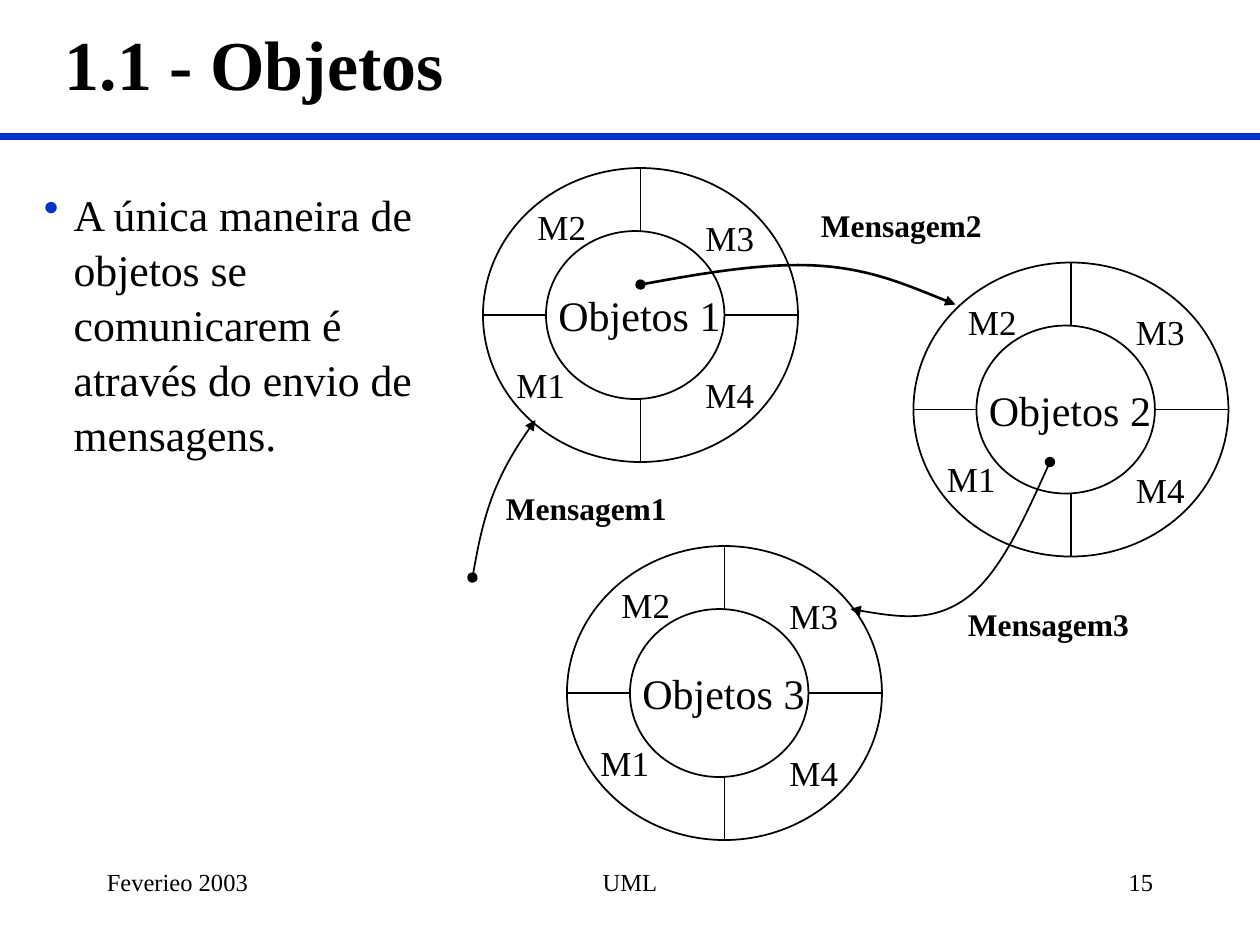
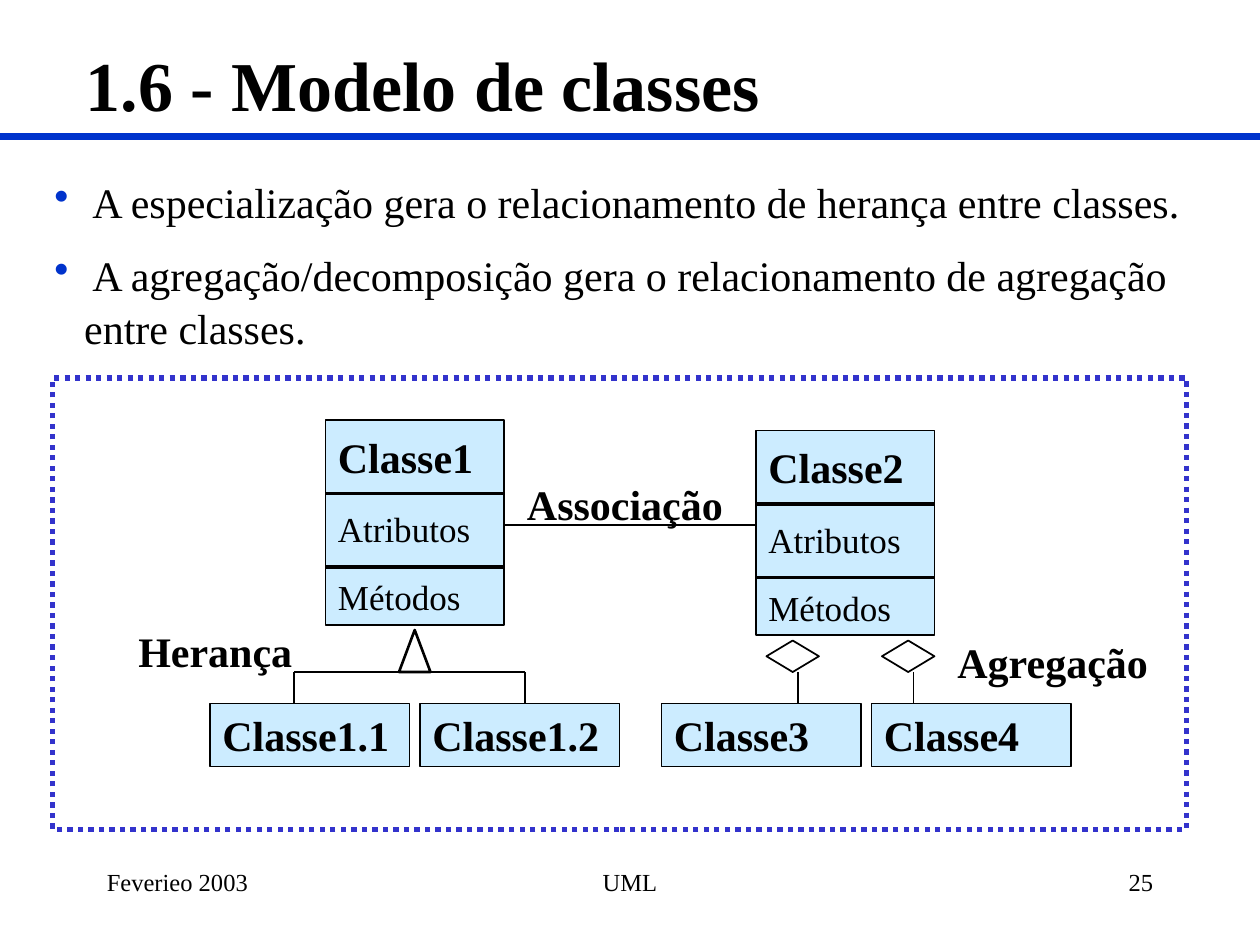
from lxml.etree import SubElement
from pptx import Presentation
from pptx.dml.color import RGBColor
from pptx.enum.dml import MSO_LINE
from pptx.enum.shapes import MSO_CONNECTOR, MSO_SHAPE as Kind
from pptx.enum.text import MSO_ANCHOR as Anchor, PP_ALIGN as Align
from pptx.oxml.ns import qn
from pptx.util import Cm, Pt

BLACK = RGBColor(0x00, 0x00, 0x00)
WHITE = RGBColor(0xFF, 0xFF, 0xFF)
BLUE = RGBColor(0x00, 0x33, 0xCC)
VIOLET = RGBColor(0x33, 0x33, 0xCC)
PALE = RGBColor(0xCC, 0xEC, 0xFF)
FONT = "Times New Roman"

# All places are (left, top, width, height) in grid steps, 12 to the inch.
STEP = 2.54 / 12
WIDE, HIGH = 120, 90

FOOT = [("UML", (41, 82, 38, 6), Align.CENTER),
        (None, (86, 82, 25, 6), Align.RIGHT),
        ("Feverieo 2003", (9, 82, 25, 6), Align.LEFT)]

# Slide 15: rings of methods around objects
RINGS = [("Objetos 1", 46, 16), ("Objetos 2", 87, 25), ("Objetos 3", 54, 52)]
SPOKES = [(15, 0, 15, 6), (15, 22, 15, 28), (23, 14, 30, 14), (6, 14, 0, 14)]
METHODS = [("M4", 20, 19), ("M3", 20, 4), ("M2", 4, 3), ("M1", 2, 18)]
MESSAGES = [
    ("Mensagem2", (77, 19), 1.5,
     [(61, 27.1), (67, 26), (73, 25), (77.9, 25.3),
      (82.9, 25.6), (87, 27.4), (91, 29)]),
    ("Mensagem3", (91, 57), 1,
     [(100, 44), (97.6, 49.3), (95.2, 54.7), (92, 57),
      (88.8, 59.3), (85, 58.7), (81, 58)]),
    ("Mensagem1", (47, 46), 1,
     [(45, 55), (45.5, 52.2), (46, 49.6), (47, 47),
      (48, 44.5), (49.4, 42.2), (51, 40)]),
]
SINGLE = ["A única maneira de objetos se comunicarem é através do envio "
          "de mensagens."]

# Slide 25: class model
POINTS = [" A especialização gera o relacionamento de herança entre classes.",
          " A agregação/decomposição gera o relacionamento de agregação "
          "entre classes."]
CLASSES = [("Classe2", 72, 41), ("Classe1", 31, 40)]
PARTS = ["Atributos", "Métodos"]
CHILDREN = [("Classe1.1", 20), ("Classe1.2", 40),
            ("Classe3", 63), ("Classe4", 83)]
LINKS = [("Associação", (49, 45, 22, 6)), ("Herança", (12, 59, 18, 6)),
         ("Agregação", (90, 60, 21, 6))]
SYMBOLS = [(Kind.FLOWCHART_EXTRACT, (38, 60, 3, 4), 1.5),
           (Kind.FLOWCHART_DECISION, (84, 61, 5, 3), 1),
           (Kind.FLOWCHART_DECISION, (73, 61, 5, 3), 1)]
JOINTS = [(48, 50, 72, 50), (50, 64, 28, 64), (50, 64, 50, 67),
          (28, 64, 28, 67), (87, 64, 87, 67), (76, 64, 76, 67)]


def grid(*steps):
    return [Cm(n * STEP) for n in steps]


def bullet(par):
    props = par._p.get_or_add_pPr()
    props.set("marL", str(Cm(0.6)))
    props.set("indent", str(-Cm(0.6)))
    color = SubElement(props, qn("a:buClr"))
    SubElement(color, qn("a:srgbClr"), val=str(BLUE))
    SubElement(props, qn("a:buChar"), char="•")


def text(slide, words, at, shape=None, size=24, bold=False, align=Align.LEFT,
         anchor=Anchor.TOP, dots=False, space=None, gap=0):
    """Write lines into a shape or a new box; size and bold may be per line."""
    shape = shape or slide.shapes.add_textbox(*grid(*at))
    frame = shape.text_frame
    frame.word_wrap = True
    frame.vertical_anchor = anchor
    lines = [words] if isinstance(words, str) else words
    for i, line in enumerate(lines):
        par = frame.paragraphs[0] if i == 0 else frame.add_paragraph()
        par.alignment = align
        if space:
            par.line_spacing = space
        if i:
            par.space_before = Pt(gap)
        if dots:
            bullet(par)
        run = par.add_run()
        run.text = line
        font = run.font
        font.name, font.color.rgb = FONT, BLACK
        font.size = Pt(size[i] if isinstance(size, list) else size)
        font.bold = bold[i] if isinstance(bold, list) else bold


def outline(shape, width, color=BLACK):
    shape.line.color.rgb = color
    shape.line.width = Pt(width)


def figure(slide, kind, at, fill=None, width=1, color=BLACK):
    shape = slide.shapes.add_shape(kind, *grid(*at))
    shape.shadow.inherit = False
    if fill is None:
        shape.fill.background()
    else:
        shape.fill.solid()
        shape.fill.fore_color.rgb = fill
    outline(shape, width, color)
    return shape


def rule(slide, ends, width=1, color=BLACK):
    line = slide.shapes.add_connector(MSO_CONNECTOR.STRAIGHT, *grid(*ends))
    outline(line, width, color)
    SubElement(line._element.spPr, qn("a:effectLst"))


def curve(slide, points, width):
    """Draw joined Bézier curves: a start, then three points for each curve."""
    start, *rest = [grid(*p) for p in points]
    build = slide.shapes.build_freeform(*start)
    build.add_line_segments(rest, close=False)
    shape = build.convert_to_shape()
    shape.shadow.inherit = False
    shape.fill.background()
    outline(shape, width)
    track = next(shape._element.iter(qn("a:path")))
    legs = track.findall(qn("a:lnTo"))
    for i in range(0, len(legs), 3):
        bend = SubElement(track, qn("a:cubicBezTo"))
        for leg in legs[i:i + 3]:
            bend.append(leg[0])
            track.remove(leg)
    stroke = shape.line._get_or_add_ln()
    SubElement(stroke, qn("a:headEnd"), type="oval")
    SubElement(stroke, qn("a:tailEnd"), type="triangle")


def start(deck, title, at, number):
    """Add a slide with the title, band and footers that all slides share."""
    slide = deck.slides.add_slide(deck.slide_layouts[6])
    slide.background.fill.solid()
    slide.background.fill.fore_color.rgb = WHITE
    rule(slide, (0, 13, WIDE, 13), 4.5, BLUE)
    text(slide, title, at, size=40, bold=True, anchor=Anchor.MIDDLE)
    for words, spot, align in FOOT:
        text(slide, words or number, spot, size=14, align=align)
    return slide


def ring(slide, name, x, y):
    figure(slide, Kind.OVAL, (x, y, 30, 28), WHITE)
    figure(slide, Kind.OVAL, (x + 6, y + 6, 17, 16), WHITE)
    text(slide, name, (x + 6, y + 11, 18, 6))
    for x1, y1, x2, y2 in SPOKES:
        rule(slide, (x + x1, y + y1, x + x2, y + y2))
    for label, dx, dy in METHODS:
        text(slide, label, (x + dx, y + dy, 9, 5.25), size=20)


def objects(deck):
    slide = start(deck, "1.1 - Objetos", (5, 0, 103, 12), "15")
    for name, x, y in RINGS:
        ring(slide, name, x, y)
    for name, spot, width, points in MESSAGES:
        curve(slide, points, width)
        text(slide, name, (*spot, 21, 4.8), size=18, bold=True)
    text(slide, SINGLE, (3, 17, 39, 63), size=25, dots=True, space=1.05)


def classes(deck):
    slide = start(deck, "1.6 - Modelo de classes", (7, 2, 110, 12), "25")
    frame = figure(slide, Kind.RECTANGLE, (5, 36, 108, 43), WHITE, 3, VIOLET)
    frame.line.dash_style = MSO_LINE.ROUND_DOT
    for name, x in CHILDREN:
        at = (x, 67, 19, 6)
        text(slide, name, at, figure(slide, Kind.RECTANGLE, at, PALE),
             bold=True)
    for kind, at, width in SYMBOLS:
        figure(slide, kind, at, width=width)
    for ends in JOINTS:
        rule(slide, ends)
    for name, at in LINKS:
        text(slide, name, at, bold=True)
    for name, x, y in CLASSES:
        at = (x, y, 17, 19.5)
        text(slide, [name, *PARTS], at,
             figure(slide, Kind.RECTANGLE, at, PALE), size=[24, 20, 20],
             bold=[True, False, False], space=1.1, gap=12.5)
        for dy in (7, 14):
            rule(slide, (x, y + dy, x + 17, y + dy), 2.25)
    text(slide, POINTS, (4, 16, 112, 15), dots=True, space=1.05, gap=11.5)


def main():
    deck = Presentation()
    deck.slide_width, deck.slide_height = grid(WIDE, HIGH)
    objects(deck)
    classes(deck)
    deck.save("out.pptx")


if __name__ == "__main__":
    main()
